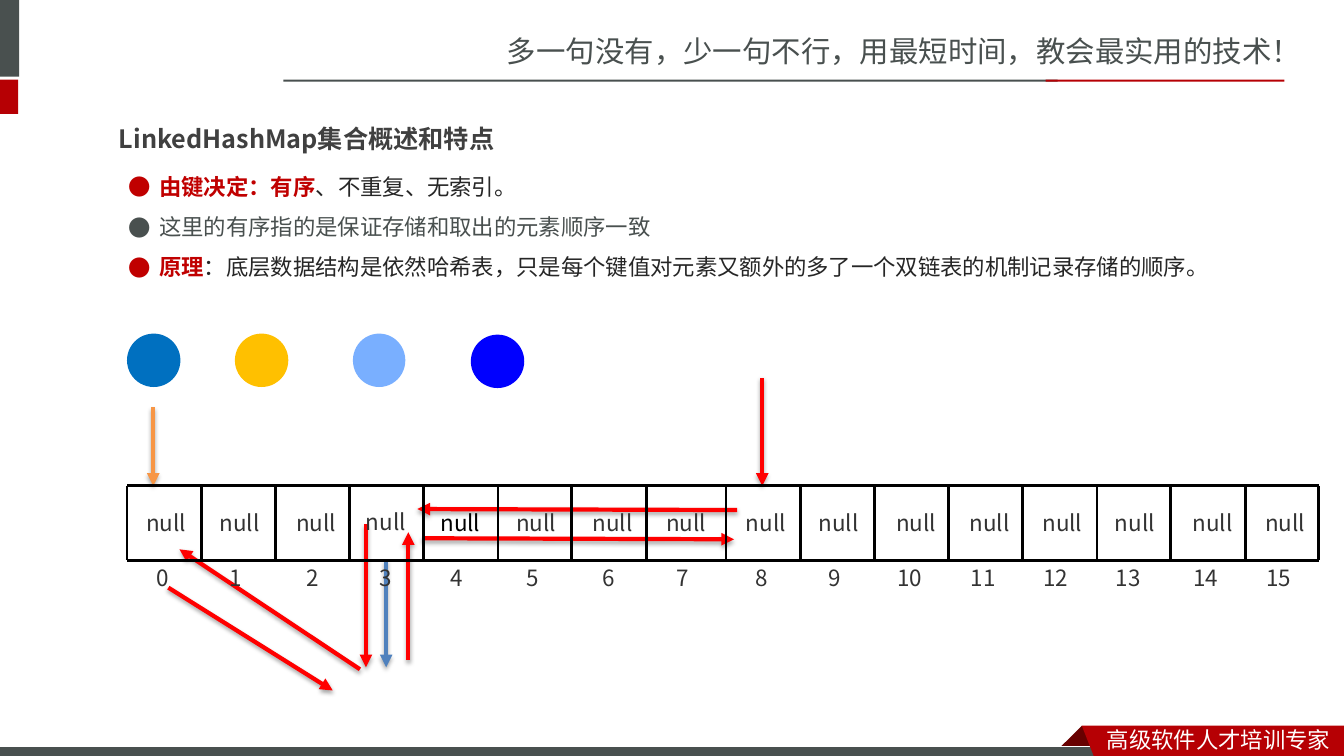
"""Build the LinkedHashMap overview slide with its bucket array and linking arrows."""
from dataclasses import dataclass
from typing import Any

from lxml.etree import SubElement
from pptx import Presentation
from pptx.dml.color import RGBColor
from pptx.enum.shapes import MSO_CONNECTOR, MSO_SHAPE
from pptx.enum.text import MSO_ANCHOR, MSO_AUTO_SIZE, PP_ALIGN
from pptx.oxml.ns import qn
from pptx.util import Emu, Pt

PX = 9144
SC = "Noto Sans CJK SC"
JP = "Noto Sans CJK JP"

WHITE = RGBColor(0xFF, 0xFF, 0xFF)
BLACK = RGBColor(0x00, 0x00, 0x00)
SLATE = RGBColor(0x49, 0x50, 0x4F)
CRIMSON = RGBColor(0xB6, 0x00, 0x04)
MAROON = RGBColor(0x68, 0x00, 0x00)
HEADING = RGBColor(0x40, 0x40, 0x40)
KEYWORD = RGBColor(0xC0, 0x00, 0x00)
BODY = RGBColor(0x26, 0x26, 0x26)
LABEL = RGBColor(0x33, 0x33, 0x33)
RED = RGBColor(0xFF, 0x00, 0x00)
ORANGE = RGBColor(0xF7, 0x96, 0x46)
STEEL = RGBColor(0x4F, 0x81, 0xBD)
SKY = RGBColor(0x79, 0xAF, 0xFF)
OCEAN = RGBColor(0x00, 0x70, 0xC0)
BLUE = RGBColor(0x00, 0x00, 0xFF)
AMBER = RGBColor(0xFF, 0xC0, 0x00)

FRAME_FORMAT = {"word_wrap": True, "auto_size": MSO_AUTO_SIZE.SHAPE_TO_FIT_TEXT,
                "vertical_anchor": MSO_ANCHOR.TOP}
PARAGRAPH_FORMAT = {"line_spacing": 1.5, "space_before": Pt(0), "alignment": PP_ALIGN.LEFT}


@dataclass(frozen=True)
class Box:
    left: int
    top: int
    width: int
    height: int


@dataclass(frozen=True)
class Block:
    box: Box
    color: RGBColor
    kind: MSO_SHAPE = MSO_SHAPE.RECTANGLE


@dataclass(frozen=True)
class Phrase:
    text: str
    color: RGBColor
    size: int = 16
    font: str = SC
    bold: bool = False


@dataclass(frozen=True)
class Link:
    start: tuple[int, int]
    end: tuple[int, int]
    color: RGBColor = RED


ACCENTS = [
    Block(Box(-6, 0, 25, 76), SLATE),
    Block(Box(-6, 79, 24, 34), CRIMSON),
    Block(Box(281, 79, 768, 2), SLATE),
    Block(Box(1037, 79, 237, 2), CRIMSON),
]
FOOTER_BAR = Block(Box(-1, 741, 1100, 12), SLATE)
RIBBON_FOLD = [(1073, 720), (1095, 742), (1094, 743), (1052, 743), (1051, 742)]
RIBBON = [(1073, 720), (1333, 720), (1333, 754), (1086, 753)]
ENTRIES = [
    Block(Box(126, 331, 53, 53), OCEAN, MSO_SHAPE.OVAL),
    Block(Box(233, 331, 53, 53), AMBER, MSO_SHAPE.OVAL),
    Block(Box(350, 331, 52, 53), SKY, MSO_SHAPE.OVAL),
    Block(Box(467, 332, 53, 53), BLUE, MSO_SHAPE.OVAL),
]
LINKS = [
    Link((383, 556), (383, 662), STEEL),
    Link((731, 506), (414, 505)),
    Link((419, 534), (728, 535)),
    Link((756, 375), (756, 482)),
    Link((363, 520), (363, 662)),
    Link((357, 664), (178, 545)),
    Link((405, 655), (405, 528)),
    Link((167, 583), (330, 685)),
    Link((152, 404), (152, 482), ORANGE),
]
FEATURES = [
    [Phrase("由键决定：有序", KEYWORD, font=JP, bold=True),
     Phrase("、不重复、无索引。", BODY, font=JP)],
    [Phrase("这里的有序指的是保证存储和取出的元素顺序一致", SLATE, font=JP)],
    [Phrase("原理", KEYWORD, font=JP, bold=True),
     Phrase("：底层数据结构是依然哈希表，只是每个键值对元素又额外的多了一个双链表的机制记录存储的顺序。",
            BODY, font=JP)],
]
SLOT_LEFTS = [135, 208, 284, 357, 427, 502, 578, 651,
              730, 802, 879, 952, 1024, 1096, 1173, 1245]
ARRAY_LEFT, ARRAY_RIGHT, ARRAY_TOP, ARRAY_BOTTOM = 126, 1308, 482, 556
DIVIDER_RUNS = [(ARRAY_LEFT, 8), (720, 9)]


def px(length: int) -> Emu:
    return Emu(length * PX)


def apply(target: Any, values: dict[str, Any]) -> None:
    for name, value in values.items():
        setattr(target, name, value)


def place(shape: Any, box: Box) -> None:
    apply(shape, {side: px(getattr(box, side)) for side in ("left", "top", "width", "height")})


def write(paragraph: Any, phrase: Phrase) -> None:
    run = paragraph.add_run()
    run.text = phrase.text
    apply(run.font, {"size": Pt(phrase.size), "bold": phrase.bold, "name": phrase.font})
    run.font.color.rgb = phrase.color
    SubElement(run.font._element, qn("a:ea"), typeface=phrase.font)


def add_label(slide: Any, box: Box, phrase: Phrase) -> None:
    label = slide.shapes.add_textbox(*map(px, (box.left, box.top, box.width, box.height)))
    apply(label.text_frame, FRAME_FORMAT)
    write(label.text_frame.paragraphs[0], phrase)


def paint(shape: Any, color: RGBColor) -> None:
    shape.shadow.inherit = False
    shape.fill.solid()
    shape.fill.fore_color.rgb = color
    shape.line.fill.background()


def add_block(slide: Any, block: Block) -> Any:
    box = block.box
    shape = slide.shapes.add_shape(block.kind, *map(px, (box.left, box.top, box.width, box.height)))
    paint(shape, block.color)
    return shape


def add_outline(slide: Any, points: list[tuple[int, int]], color: RGBColor) -> None:
    builder = slide.shapes.build_freeform(*points[0], scale=PX)
    builder.add_line_segments(points[1:], close=True)
    paint(builder.convert_to_shape(), color)


def add_line(slide: Any, link: Link, weight: int, arrow: bool = False) -> None:
    line = slide.shapes.add_connector(MSO_CONNECTOR.STRAIGHT, *map(px, link.start + link.end))
    line.line.color.rgb = link.color
    line.line.width = Pt(weight)
    properties = line.element.spPr
    effects = SubElement(properties, qn("a:effectLst"))
    if arrow:
        SubElement(properties.find(qn("a:ln")), qn("a:tailEnd"), type="triangle")
        shadow = SubElement(effects, qn("a:outerShdw"), blurRad="40000", dist="23000",
                            dir="5400000", rotWithShape="0")
        tint = SubElement(shadow, qn("a:srgbClr"), val=str(BLACK))
        SubElement(tint, qn("a:alpha"), val="35000")


def fill_placeholder(holder: Any, box: Box, lines: list[list[Phrase]], bulleted: bool) -> None:
    place(holder, box)
    frame = holder.text_frame
    apply(frame, FRAME_FORMAT)
    for index, phrases in enumerate(lines):
        paragraph = frame.add_paragraph() if index else frame.paragraphs[0]
        if bulleted:
            settings = paragraph._p.get_or_add_pPr()
            settings.set("marL", str(px(31)))
            settings.set("indent", str(px(-31)))
            SubElement(settings, qn("a:buFont"), typeface=JP)
            SubElement(settings, qn("a:buChar"), char="●")
        apply(paragraph, PARAGRAPH_FORMAT)
        for phrase in phrases:
            write(paragraph, phrase)


def add_array(slide: Any) -> None:
    for slot, left in enumerate(SLOT_LEFTS):
        value_box = Box(353, 499, 62, 37) if slot == 3 else Box(left, 500, 62, 37)
        add_label(slide, value_box, Phrase("null", BLACK if slot == 4 else LABEL))
        index_box = Box(left + 10, 555, 33, 37) if slot < 10 else Box(left + 1, 555, 46, 37)
        add_label(slide, index_box, Phrase(str(slot), LABEL))
    for edge in (ARRAY_TOP, ARRAY_BOTTOM):
        add_line(slide, Link((ARRAY_LEFT, edge), (ARRAY_RIGHT, edge), BLACK), 2)
    for start, count in DIVIDER_RUNS:
        for step in range(count):
            divider = start + (147 * step + 1) // 2
            add_line(slide, Link((divider, ARRAY_TOP), (divider, ARRAY_BOTTOM), BLACK), 2)


def main() -> None:
    deck = Presentation()
    apply(deck, {"slide_width": px(1333), "slide_height": px(750)})
    slide = deck.slides.add_slide(deck.slide_layouts[1])
    heading = Phrase("LinkedHashMap集合概述和特点", HEADING, 18, JP, True)
    fill_placeholder(slide.shapes.title, Box(108, 102, 838, 51), [[heading]], False)
    fill_placeholder(slide.placeholders[1], Box(117, 153, 1092, 167), FEATURES, True)

    add_label(slide, Box(493, 28, 841, 47),
              Phrase("多一句没有，少一句不行，用最短时间，教会最实用的技术！", SLATE, 21))
    for accent in ACCENTS:
        add_block(slide, accent)
    add_outline(slide, RIBBON_FOLD, MAROON)
    footer = add_block(slide, FOOTER_BAR)
    footer.line.color.rgb = WHITE
    footer.line.width = Pt(0.75)
    add_outline(slide, RIBBON, CRIMSON)
    add_label(slide, Box(1088, 715, 245, 37), Phrase("高级软件人才培训专家", WHITE))

    for link in LINKS:
        add_line(slide, link, 3, arrow=True)
    add_array(slide)
    for entry in ENTRIES:
        add_block(slide, entry)
    deck.save("out.pptx")


if __name__ == "__main__":
    main()
